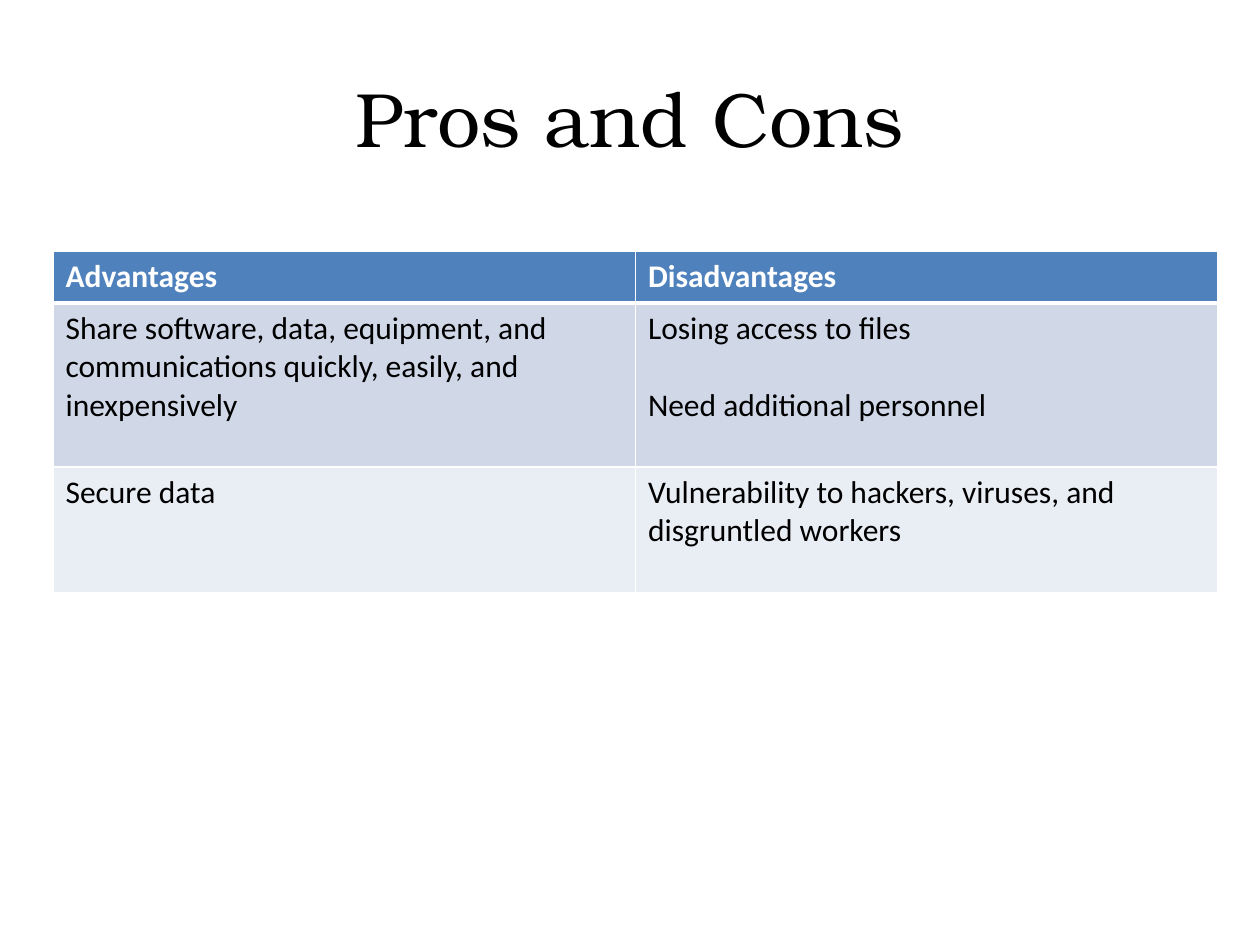
from lxml import etree
from pptx import Presentation
from pptx.dml.color import RGBColor
from pptx.enum.text import MSO_ANCHOR, PP_ALIGN
from pptx.oxml.ns import qn
from pptx.util import Emu, Pt

MIDDLE = MSO_ANCHOR.MIDDLE
CENTER = PP_ALIGN.CENTER
PX_PER_INCH = 126
WHITE, BLACK = "FFFFFF", "000000"
HEADER_FILL = "4F81BD"
BAND_FILLS = ["D0D8E8", "E9EDF4"]
HEADINGS = ["Advantages", "Disadvantages"]
COMPARISONS = [
    [
        ["Share software, data, equipment, and communications quickly, easily, and inexpensively"],
        ["Losing access to files", "Need additional personnel"],
    ],
    [
        ["Secure data"],
        ["Vulnerability to hackers, viruses, and disgruntled workers"],
    ],
]
ROW_HEIGHTS = [52, 164, 126]


def px(length):
    """Turn pixels into EMU."""
    return Emu(round(length * 914400 / PX_PER_INCH))


def color(hex_code):
    """Turn a hex string into a colour."""
    return RGBColor.from_string(hex_code)


def style_font(para, name, size, hex_code, bold=False):
    """Set the font of a whole paragraph."""
    font = para.font
    font.name, font.size, font.bold = name, Pt(size), bold
    font.color.rgb = color(hex_code)


def add_border(cell, side, points):
    """Draw a white border on one side of a cell."""
    properties = cell._tc.get_or_add_tcPr()
    line = etree.SubElement(properties, qn(f"a:ln{side}"), w=str(Pt(points)))
    fill = etree.SubElement(line, qn("a:solidFill"))
    etree.SubElement(fill, qn("a:srgbClr"), val=WHITE)


def add_title(page, left, top, width, height):
    """Place the centred title in the given box."""
    box = page.shapes.add_textbox(px(left), px(top), px(width), px(height))
    frame = box.text_frame
    frame.word_wrap = True
    frame.vertical_anchor = MIDDLE
    para = frame.paragraphs[0]
    para.text = "Pros and Cons"
    para.alignment = CENTER
    style_font(para, "TeX Gyre Bonum", 44, BLACK)


def fill_cell(cell, lines, row):
    """Write and style one cell according to its row."""
    header = row == 0
    add_border(cell, "L", 1)
    add_border(cell, "R", 1)
    add_border(cell, "T", 3 if row == 1 else 1)
    add_border(cell, "B", 3 if header else 1)
    cell.fill.solid()
    cell.fill.fore_color.rgb = color(HEADER_FILL if header else BAND_FILLS[row - 1])
    frame = cell.text_frame
    for index, text in enumerate(lines):
        para = frame.add_paragraph() if index else frame.paragraphs[0]
        para.text = text
        para.space_before = Pt(22 if index else 0)
        style_font(para, "Calibri", 18, WHITE if header else BLACK, header)


def add_comparison(page, left, top, width, row_heights):
    """Place the table of advantages and disadvantages."""
    rows = [[[heading] for heading in HEADINGS], *COMPARISONS]
    table = page.shapes.add_table(
        len(rows), len(HEADINGS), px(left), px(top), px(width), px(sum(row_heights))
    ).table
    for row, (cells, height) in enumerate(zip(rows, row_heights)):
        table.rows[row].height = px(height)
        for column, lines in enumerate(cells):
            fill_cell(table.cell(row, column), lines, row)


def main():
    """Build and save the deck."""
    deck = Presentation()
    deck.slide_width, deck.slide_height = px(1260), px(945)
    page = deck.slides.add_slide(deck.slide_layouts[6])
    add_title(page, 63, 38, 1134, 158)
    add_comparison(page, 53, 251, 1165, ROW_HEIGHTS)
    deck.save("out.pptx")


if __name__ == "__main__":
    main()
